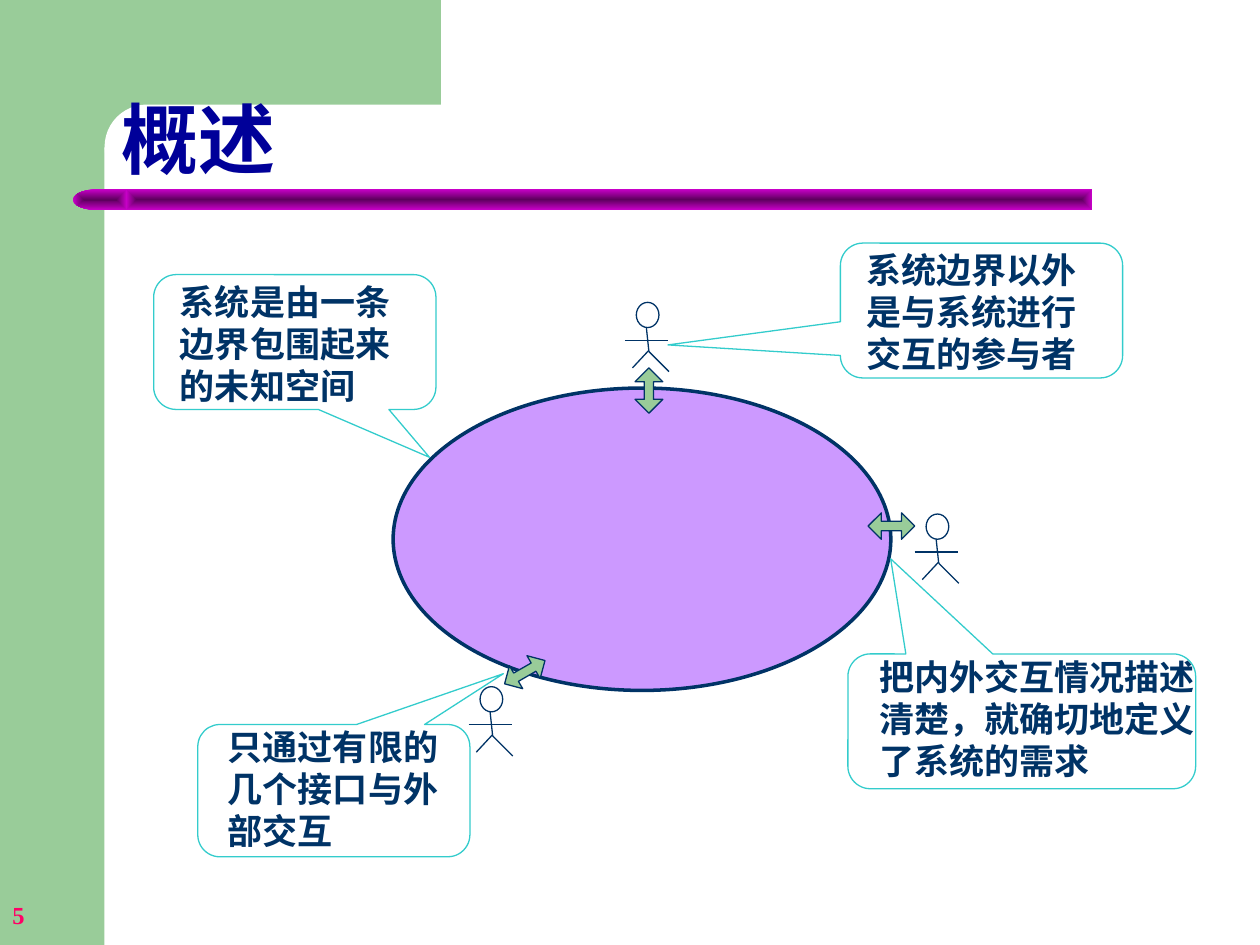
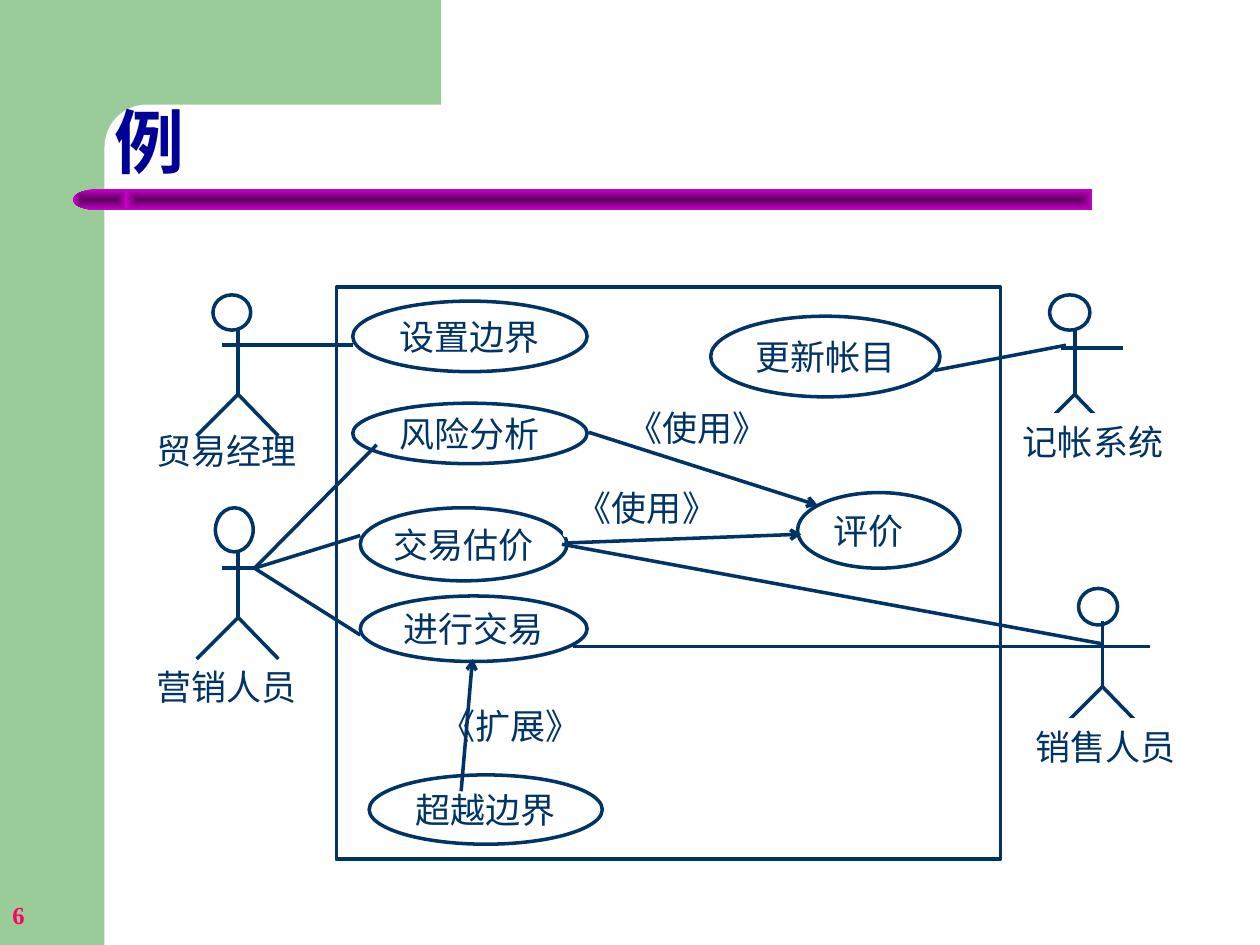
from lxml.etree import SubElement
from pptx import Presentation
from pptx.dml.color import RGBColor
from pptx.enum.shapes import MSO_CONNECTOR, MSO_SHAPE
from pptx.enum.text import MSO_ANCHOR, PP_ALIGN
from pptx.oxml.ns import qn
from pptx.util import Inches, Pt

SLIDE_WIDTH, SLIDE_HEIGHT = Inches(10), Inches(7.5)
CELL = SLIDE_WIDTH / 10  # square grid: 10 columns by 7.5 rows
COLORS = {
    "band": "99CC99", "paper": "FFFFFF", "ink": "003366", "title": "000099",
    "number": "FF0066", "bar_core": "5E005E", "bar_edge": "CC00CC",
    "system": "CC99FF", "callout": "33CCCC",
}
EAST_ASIAN_FONT = "Noto Sans CJK JP"
FORMATS = {
    "title": {"name": EAST_ASIAN_FONT, "bold": True, "color": "title"},
    "number": {"name": "Times New Roman", "size": Pt(14), "bold": True, "color": "number"},
    "note": {"name": "Times New Roman", "size": Pt(20), "bold": True, "color": "ink"},
    "label": {"name": "Arial", "size": Pt(20), "bold": False, "color": "ink"},
}
THIN, THICK = 0.75, 2

# Stick figure strokes, relative to the figure's anchor point
SMALL_STROKES = [
    ((-0.09, 0.3), (0.25, 0.3)), ((0.08, 0.2), (0.1, 0.39)),
    ((0.1, 0.38), (-0.03, 0.52)), ((0.1, 0.39), (0.26, 0.55)),
]
BODY_STROKES = [((0, 0), (0, 0.52)), ((0, 0.52), (-0.33, 0.85)), ((0, 0.52), (0.32, 0.85))]
ARM_STROKE = ((-0.13, 0.13), (0.13, 0.13))


def grid(*cells):
    return [round(cell * CELL) for cell in cells]


def rgb(name):
    return RGBColor.from_string(COLORS[name])


def add_figure(slide, kind, box, fill=None, line=None, weight=THIN, adjustments=()):
    """Add a preset shape without shadow; fill and line are colour names."""
    shape = slide.shapes.add_shape(kind, *grid(*box))
    shape.shadow.inherit = False
    for index, value in enumerate(adjustments):
        shape.adjustments[index] = value
    if fill:
        shape.fill.solid()
        shape.fill.fore_color.rgb = rgb(fill)
    else:
        shape.fill.background()
    if line:
        shape.line.color.rgb = rgb(line)
        shape.line.width = Pt(weight)
    else:
        shape.line.fill.background()
    return shape


def write(shape, text, style, align=PP_ALIGN.LEFT, anchor=MSO_ANCHOR.TOP, wrap=False, **extra):
    frame = shape.text_frame
    frame.word_wrap = wrap
    frame.vertical_anchor = anchor
    paragraph = frame.paragraphs[0]
    paragraph.alignment = align
    run = paragraph.add_run()
    run.text = text
    for name, value in {**FORMATS[style], **extra}.items():
        if name == "color":
            run.font.color.rgb = rgb(value)
        else:
            setattr(run.font, name, value)
    SubElement(run.font._element, qn("a:ea")).set("typeface", EAST_ASIAN_FONT)
    return paragraph


def add_text(slide, box, text, style, **options):
    return write(slide.shapes.add_textbox(*grid(*box)), text, style, **options)


def add_line(slide, start, end, weight=THICK, arrow=False):
    connector = slide.shapes.add_connector(MSO_CONNECTOR.STRAIGHT, *grid(*start, *end))
    connector.line.color.rgb = rgb("ink")
    connector.line.width = Pt(weight)
    if arrow:
        SubElement(connector.line._get_or_add_ln(), qn("a:tailEnd")).set("type", "arrow")
    SubElement(connector._element.spPr, qn("a:effectLst"))


def add_bar_part(slide, kind, box):
    """Add a part of the title bar, shaded from its centre to its edges."""
    shape = add_figure(slide, kind, box)
    shape.fill.gradient()
    for stop, color, position in zip(shape.fill.gradient_stops, ("bar_core", "bar_edge"), (0, 1)):
        stop.color.rgb = rgb(color)
        stop.position = position
    gradient = shape._element.spPr.find(qn("a:gradFill"))
    gradient.remove(gradient.find(qn("a:lin")))
    shading = SubElement(gradient, qn("a:path"))
    shading.set("path", "rect")
    center = SubElement(shading, qn("a:fillToRect"))
    for side in "ltrb":
        center.set(side, "50000")
    return shape


def add_base_slide(presentation, number, title, title_position, title_size):
    slide = presentation.slides.add_slide(presentation.slide_layouts[6])
    add_figure(slide, MSO_SHAPE.RECTANGLE, (0, 0, 0.83, 7.5), "band")
    add_figure(slide, MSO_SHAPE.RECTANGLE, (0.75, 0, 2.75, 1.17), "band")
    add_figure(slide, MSO_SHAPE.ROUNDED_RECTANGLE, (0.83, 0.83, 5.58, 0.67), "paper",
               adjustments=[0.5])
    add_text(slide, (0, 7.01, 2.08, 0.5), str(number), "number", anchor=MSO_ANCHOR.MIDDLE)
    add_bar_part(slide, MSO_SHAPE.RECTANGLE, (1, 1.5, 7.67, 0.17))
    cap = add_bar_part(slide, MSO_SHAPE.FLOWCHART_DELAY, (0.58, 1.5, 0.43, 0.17))
    cap._element.spPr.xfrm.set("flipH", "1")
    paragraph = add_text(slide, (*title_position, 8.5, 0.63), title, "title",
                         anchor=MSO_ANCHOR.BOTTOM, wrap=True, size=Pt(title_size))
    paragraph.line_spacing = 0.9
    return slide


def add_callout(slide, box, pointer, text_box, text):
    add_figure(slide, MSO_SHAPE.ROUNDED_RECTANGULAR_CALLOUT, box, line="callout",
               adjustments=[*pointer, 0.167])
    add_text(slide, text_box, text, "note", wrap=True)


def add_actor(slide, head, anchor, strokes, weight, fill=None):
    add_figure(slide, MSO_SHAPE.OVAL, head, fill, "ink", weight)
    left, top = anchor
    for stroke in strokes:
        start, end = [(left + x, top + y) for x, y in stroke]
        add_line(slide, start, end, weight)


def add_interface(slide, box, head_share, rotation):
    arrow = add_figure(slide, MSO_SHAPE.UP_DOWN_ARROW, box, "band", "ink",
                       adjustments=[0.5, head_share])
    arrow.rotation = rotation


def add_use_case(slide, box, text, align=PP_ALIGN.CENTER):
    oval = add_figure(slide, MSO_SHAPE.OVAL, box, "paper", "ink", THICK)
    write(oval, text, "label", align=align, anchor=MSO_ANCHOR.MIDDLE)


def add_label(slide, left, top, text):
    shape = add_figure(slide, MSO_SHAPE.RECTANGLE, (left, top, 1.31, 0.44),
                       "paper", "paper", THICK)
    write(shape, text, "label")


def build_overview(presentation):
    slide = add_base_slide(presentation, 5, "概述", (0.87, 0.89), 44)
    add_figure(slide, MSO_SHAPE.OVAL, (3.12, 3.08, 3.95, 2.4), "system", "ink", THICK)
    for left, top in [(5.05, 2.4), (3.81, 5.45), (7.35, 4.08)]:
        add_actor(slide, (left, top, 0.18, 0.2), (left, top), SMALL_STROKES, THIN)
    for box, head_share, rotation in [
        ((5.04, 2.92, 0.22, 0.36), 0.328, 0),
        ((6.97, 3.99, 0.21, 0.37), 0.361, 90),
        ((4.06, 5.15, 0.21, 0.37), 0.361, 60),
    ]:
        add_interface(slide, box, head_share, rotation)
    for callout in [
        ((1.22, 2.18, 2.24, 1.07), (0.477, 0.855), (1.33, 2.18, 2.02, 1.1),
         "系统是由一条边界包围起来的未知空间"),
        ((6.67, 1.93, 2.24, 1.07), (-1.111, 0.255), (6.78, 1.92, 2.02, 1.1),
         "系统边界以外是与系统进行交互的参与者"),
        ((6.73, 5.19, 2.76, 1.07), (-0.377, -1.205), (6.88, 5.15, 2.75, 1.1),
         "把内外交互情况描述清楚，就确切地定义了系统的需求"),
        ((1.57, 5.75, 2.16, 1.05), (0.623, -0.884), (1.71, 5.71, 2.02, 1.1),
         "只通过有限的几个接口与外部交互"),
    ]:
        add_callout(slide, *callout)


def build_example(presentation):
    slide = add_base_slide(presentation, 6, "例", (0.81, 0.88), 40)
    add_label(slide, 1.14, 3.36, "贸易经理")
    add_label(slide, 1.14, 5.23, "营销人员")
    add_figure(slide, MSO_SHAPE.RECTANGLE, (2.67, 2.28, 5.27, 4.54), "paper", "ink", THICK)
    for use_case in [
        ((2.8, 3.2, 1.86, 0.48), "风险分析"),
        ((2.8, 2.39, 1.86, 0.56), "设置边界"),
        ((2.93, 6.15, 1.85, 0.55), "超越边界", PP_ALIGN.LEFT),
        ((2.86, 4.73, 1.8, 0.52), "进行交易"),
        ((2.86, 4.03, 1.64, 0.58), "交易估价"),
        ((5.64, 2.51, 1.82, 0.64), "更新帐目"),
        ((6.33, 3.91, 1.29, 0.6), "评价", PP_ALIGN.LEFT),
    ]:
        add_use_case(slide, *use_case)

    with_arms = [*BODY_STROKES, ARM_STROKE]
    for head, neck, strokes in [
        ((1.69, 2.34, 0.3, 0.28), (1.89, 2.61), with_arms),
        ((8.33, 2.34, 0.32, 0.28), (8.53, 2.61), BODY_STROKES),
        ((1.71, 4.03, 0.3, 0.35), (1.89, 4.38), with_arms),
        ((8.56, 4.67, 0.31, 0.29), (8.75, 4.93), BODY_STROKES),
    ]:
        add_actor(slide, head, neck, strokes, THICK, "paper")

    marketer_hand = (2.02, 4.51)
    for start, end in [
        ((2.02, 2.74), (2.8, 2.74)),
        (marketer_hand, (2.99, 3.53)),
        (marketer_hand, (2.86, 4.25)),
        (marketer_hand, (2.86, 5.04)),
        ((4.46, 4.32), (8.75, 5.11)),
        ((7.42, 2.94), (8.46, 2.74)),
    ]:
        add_line(slide, start, end)
    for left, top, text in [
        (4.88, 3.18, "《使用》"), (4.48, 3.81, "《使用》"), (3.4, 5.54, "《扩展》"),
        (8.02, 3.29, "记帐系统"), (8.12, 5.71, "销售人员"),
    ]:
        add_label(slide, left, top, text)
    for start, end, arrow in [
        ((4.55, 5.13), (9.13, 5.13), False),
        ((8.42, 2.76), (8.91, 2.76), False),
        ((3.66, 6.28), (3.75, 5.23), True),
        ((4.48, 4.31), (6.36, 4.24), True),
        ((4.67, 3.43), (6.49, 4.01), True),
    ]:
        add_line(slide, start, end, arrow=arrow)


def main():
    presentation = Presentation()
    presentation.slide_width, presentation.slide_height = SLIDE_WIDTH, SLIDE_HEIGHT
    build_overview(presentation)
    build_example(presentation)
    presentation.save("out.pptx")


if __name__ == "__main__":
    main()
